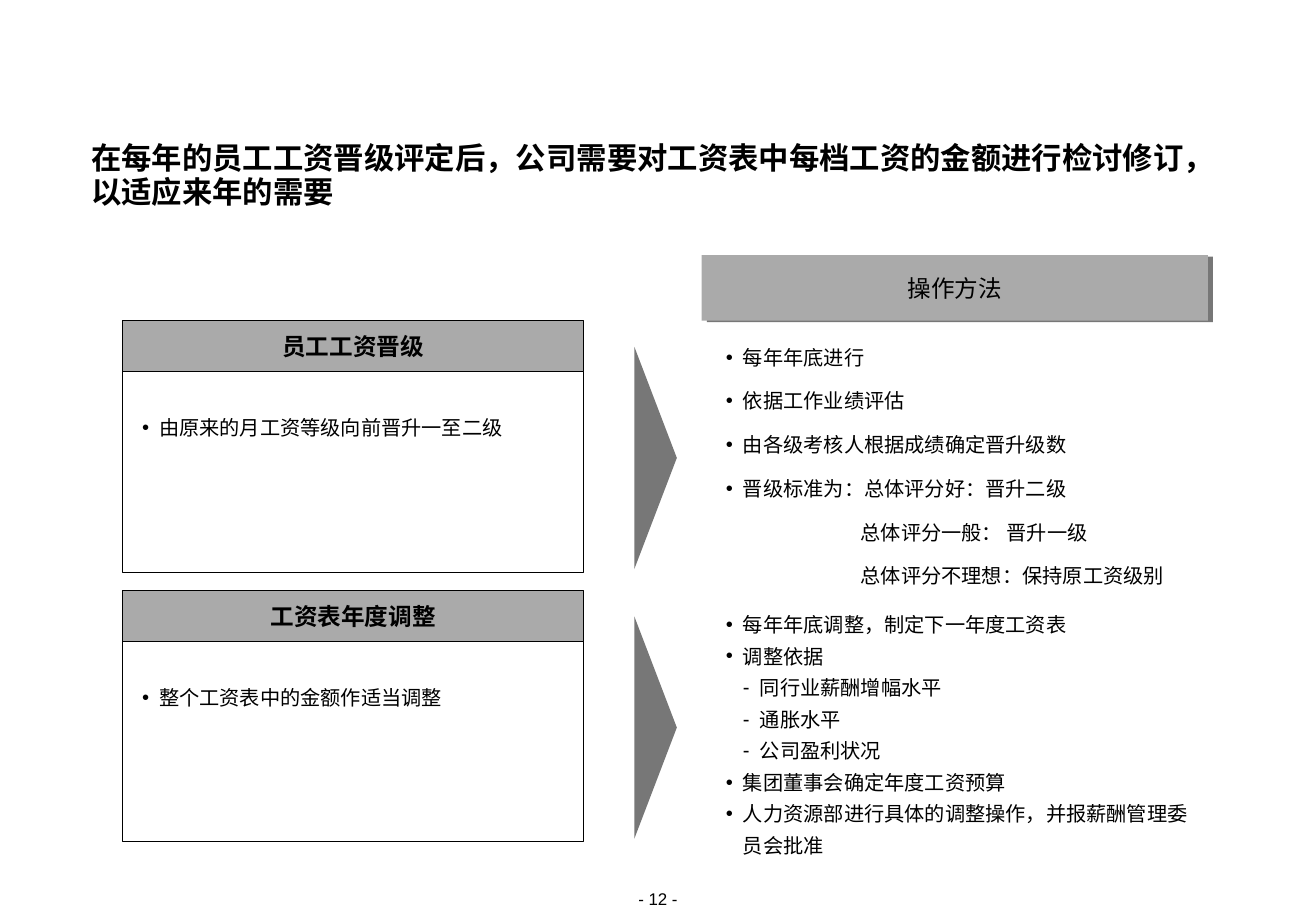
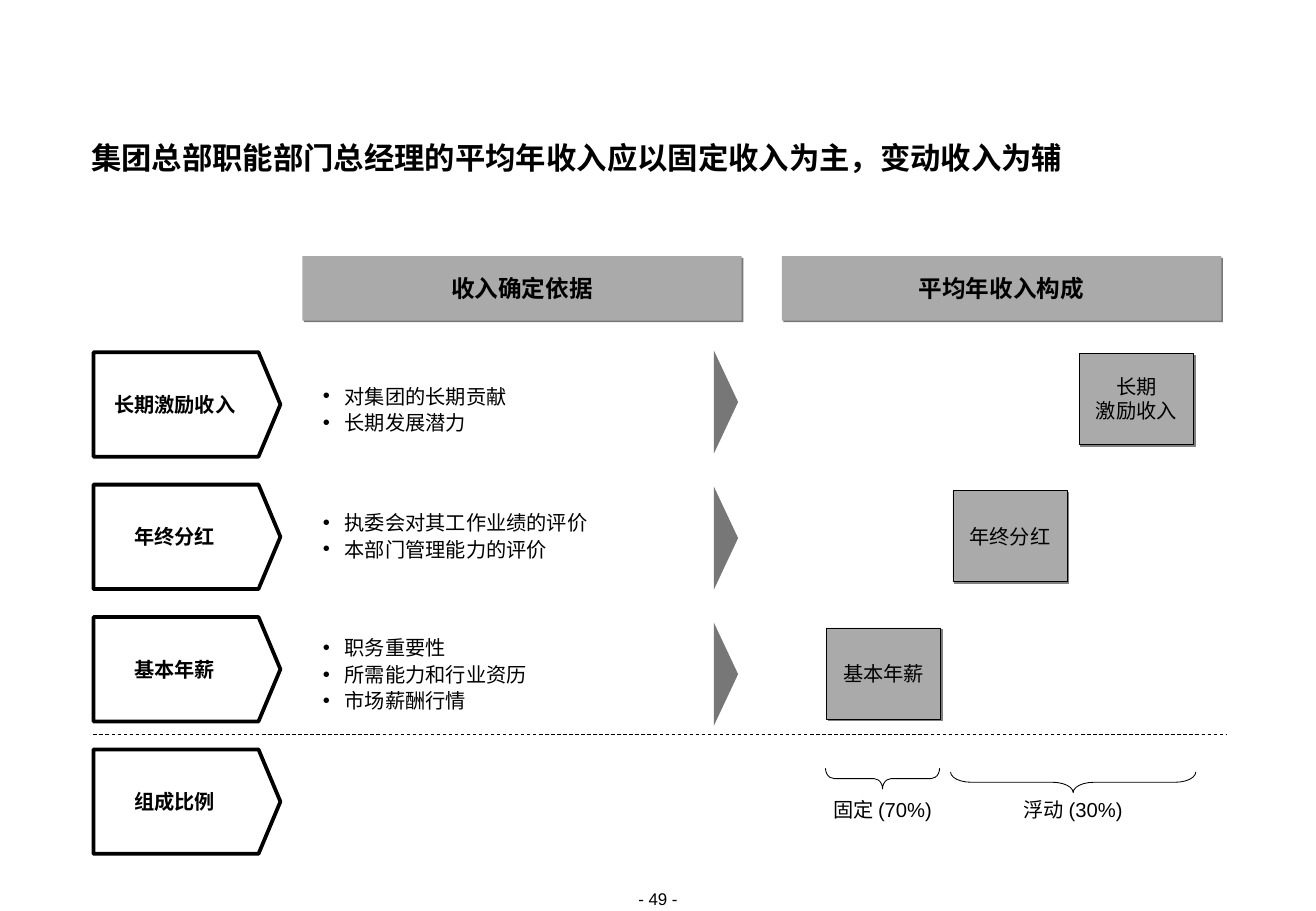
from lxml import etree
from pptx import Presentation
from pptx.dml.color import RGBColor
from pptx.enum.dml import MSO_LINE
from pptx.enum.shapes import MSO_CONNECTOR, MSO_SHAPE
from pptx.enum.text import MSO_ANCHOR, MSO_AUTO_SIZE, PP_ALIGN
from pptx.oxml.ns import qn
from pptx.util import Inches, Pt

FONT = "Arial"
BLACK, GREY, DARK, SHADE = "000000", "AAAAAA", "777777", "808080"
LEFT, CENTER = PP_ALIGN.LEFT, PP_ALIGN.CENTER
TOP, MIDDLE = MSO_ANCHOR.TOP, MSO_ANCHOR.MIDDLE
RECTANGLE, PENTAGON = MSO_SHAPE.RECTANGLE, MSO_SHAPE.PENTAGON
TRIANGLE, BRACE = MSO_SHAPE.ISOSCELES_TRIANGLE, MSO_SHAPE.LEFT_BRACE
STRAIGHT, DASH, FIXED = MSO_CONNECTOR.STRAIGHT, MSO_LINE.DASH, MSO_AUTO_SIZE.NONE
COMPARISON_LAYOUT = 4
BULLET, SUB_BULLET = (0.14, 0.14, "•"), (0.28, 0.14, "-")
CONTINUED, WIDE_BULLET = (1.11, 0, None), (0.19, 0.18, "•")


def color(value):
    """Turn a hex string into a colour."""
    return RGBColor.from_string(value)


def place(item, left, top, width, height):
    """Move and size a shape, in inches."""
    item.left, item.top = Inches(left), Inches(top)
    item.width, item.height = Inches(width), Inches(height)


def prepare(frame, anchor, wrap=True):
    """Clear the margins of a text frame and fix its size."""
    frame.word_wrap, frame.auto_size, frame.vertical_anchor = wrap, FIXED, anchor
    frame.margin_left = frame.margin_right = 0
    frame.margin_top = frame.margin_bottom = 0


def style(para, size, bold=False, align=CENTER, spacing=1.0):
    """Format one paragraph."""
    para.alignment, para.line_spacing = align, spacing
    para.space_before = para.space_after = Pt(0)
    font = para.font
    font.name, font.size, font.bold = FONT, Pt(size), bold
    font.color.rgb = color(BLACK)


def write(item, text, size, bold=False, anchor=MIDDLE, wrap=True, **options):
    """Put one formatted paragraph into a shape."""
    frame = item.text_frame
    prepare(frame, anchor, wrap)
    frame.text = text
    style(frame.paragraphs[0], size, bold, **options)


def add_label(page, text, left, top, width, height, size, **options):
    """Add a text box."""
    box = page.shapes.add_textbox(
        Inches(left), Inches(top), Inches(width), Inches(height))
    write(box, text, size, **options)


def set_bullet(para, left, hang, char):
    """Give a paragraph its indent and bullet sign."""
    props = para._p.get_or_add_pPr()
    props.set("marL", str(Inches(left)))
    props.set("indent", str(-Inches(hang)))
    if char:
        etree.SubElement(props, qn("a:buFont")).set("typeface", FONT)
        etree.SubElement(props, qn("a:buChar")).set("char", char)
    else:
        etree.SubElement(props, qn("a:buNone"))


def fill_list(item, position, entries, spacing):
    """Fill a body placeholder with (text, bullet) entries."""
    place(item, *position)
    frame = item.text_frame
    prepare(frame, MIDDLE)
    for index, (text, bullet) in enumerate(entries):
        para = frame.paragraphs[0] if index == 0 else frame.add_paragraph()
        para.text = text
        set_bullet(para, *bullet)
        style(para, 12, align=LEFT, spacing=spacing)


def add_block(page, kind, left, top, width, height, fill=None, line=None):
    """Add a preset shape without shadow; line is a width in points."""
    block = page.shapes.add_shape(
        kind, Inches(left), Inches(top), Inches(width), Inches(height))
    block.shadow.inherit = False
    if fill:
        block.fill.solid()
        block.fill.fore_color.rgb = color(fill)
    else:
        block.fill.background()
    if line:
        block.line.color.rgb = color(BLACK)
        block.line.width = Pt(line)
    else:
        block.line.fill.background()
    return block


def add_shadow(block, shade, distance, angle):
    """Give a shape a hard offset shadow."""
    effects = block._element.spPr.find(qn("a:effectLst"))
    shadow = etree.SubElement(effects, qn("a:outerShdw"))
    shadow.set("blurRad", "0")
    shadow.set("dist", str(Pt(distance)))
    shadow.set("dir", str(angle * 60000))
    shadow.set("algn", "tl")
    shadow.set("rotWithShape", "0")
    etree.SubElement(shadow, qn("a:srgbClr")).set("val", shade)


def add_heading(page, text, left, top, width, height, bold, distance, angle):
    """Add a grey column heading with a shadow."""
    bar = add_block(page, RECTANGLE, left, top, width, height, GREY)
    add_shadow(bar, DARK, distance, angle)
    write(bar, text, 14, bold)


def add_turned(page, kind, center_x, center_y, length, depth, angle, **options):
    """Add a shape turned by a quarter around its centre."""
    block = add_block(page, kind, center_x - length / 2, center_y - depth / 2,
                      length, depth, **options)
    block.rotation = angle
    return block


def add_card(page, body, top, title, text):
    """Add a titled frame with one bullet."""
    add_block(page, RECTANGLE, 1.01, top + 0.4, 3.8, 1.67, line=0.5)
    header = add_block(page, RECTANGLE, 1.01, top, 3.8, 0.42, GREY, 0.5)
    write(header, title, 14, True)
    fill_list(body, (1.17, top + 0.78, 3.51, 0.2), [(text, BULLET)], 1.0)


def add_ratio(page, text, center, middle, length, corner):
    """Add a downward brace and the share below it."""
    brace = add_turned(page, BRACE, center, middle, 0.17, length, 270, line=0.5)
    brace.adjustments[0] = corner
    add_label(page, text, center - 0.43, 6.57, 0.86, 0.19, 12,
              wrap=False, spacing=Pt(14))


def add_page(deck, title, number):
    """Add a slide with its title and page number, and return its bodies too."""
    page = deck.slides.add_slide(deck.slide_layouts[COMPARISON_LAYOUT])
    heading = page.shapes.title
    place(heading, 0.75, 1.17, 9.33, 0.56)
    write(heading, title, 18, True, TOP, align=LEFT, spacing=Pt(20))
    add_label(page, f"- {number} -", 4.85, 7.32, 1.14, 0.17, 10, anchor=TOP)
    return page, [item for item in page.placeholders if item != heading]


def build_adjustment(deck):
    """Build the slide on yearly promotion and pay table revision."""
    page, bodies = add_page(
        deck, "在每年的员工工资晋级评定后，公司需要对工资表中每档工资的金额进行检讨修订，"
        "以适应来年的需要", 12)
    add_heading(page, "操作方法", 5.78, 2.1, 4.17, 0.54, False, 3.2, 18)
    cards = [("员工工资晋级", "由原来的月工资等级向前晋升一至二级"),
             ("工资表年度调整", "整个工资表中的金额作适当调整")]
    for index, (title, text) in enumerate(cards):
        top = 2.64 + 2.22 * index
        add_card(page, bodies[index], top, title, text)
        add_turned(page, TRIANGLE, 5.4, top + 1.13, 1.83, 0.35, 90, fill=DARK)
    fill_list(bodies[2], (5.98, 2.68, 3.87, 2.16), [
        ("每年年底进行", BULLET),
        ("依据工作业绩评估", BULLET),
        ("由各级考核人根据成绩确定晋升级数", BULLET),
        ("晋级标准为：总体评分好：晋升二级", BULLET),
        ("总体评分一般： 晋升一级", CONTINUED),
        ("总体评分不理想：保持原工资级别", CONTINUED)], 1.8)
    fill_list(bodies[3], (5.98, 4.98, 3.87, 2.08), [
        ("每年年底调整，制定下一年度工资表", BULLET),
        ("调整依据", BULLET),
        ("同行业薪酬增幅水平", SUB_BULLET),
        ("通胀水平", SUB_BULLET),
        ("公司盈利状况", SUB_BULLET),
        ("集团董事会确定年度工资预算", BULLET),
        ("人力资源部进行具体的调整操作，并报薪酬管理委员会批准", BULLET)], 1.3)


def build_income(deck):
    """Build the slide on the make-up of average yearly income."""
    page, bodies = add_page(
        deck, "集团总部职能部门总经理的平均年收入应以固定收入为主，变动收入为辅", 49)
    for text, left in [("收入确定依据", 2.49), ("平均年收入构成", 6.44)]:
        add_heading(page, text, left, 2.11, 3.62, 0.53, True, 1.4, 45)

    for index, text in enumerate(["长期激励收入", "年终分红", "基本年薪", "组成比例"]):
        tag = add_block(page, PENTAGON, 0.77, 2.9 + 1.09 * index, 1.54, 0.86, line=2.25)
        tag.adjustments[0] = 0.21
        write(tag, text, 12, True)
        tag.text_frame.margin_right = Inches(0.11)

    rows = [("长期\v激励收入", 3.36, ["对集团的长期贡献", "长期发展潜力"]),
            ("年终分红", 4.4, ["执委会对其工作业绩的评价", "本部门管理能力的评价"]),
            ("基本年薪", 5.54, ["职务重要性", "所需能力和行业资历", "市场薪酬行情"])]
    for index, (part, middle, reasons) in enumerate(rows):
        height = 0.22 * len(reasons)
        fill_list(bodies[index], (2.65, middle - height / 2, 2.38, height),
                  [(reason, WIDE_BULLET) for reason in reasons], 1.1)
        add_turned(page, TRIANGLE, 5.98, 3.31 + 1.12 * index, 0.85, 0.2, 90, fill=DARK)
        square = add_block(page, RECTANGLE, 8.89 - 1.04 * index, 2.91 + 1.13 * index,
                           0.94, 0.75, GREY, 0.5)
        add_shadow(square, SHADE, 1.4, 45)
        write(square, part, 12, spacing=Pt(14))
    spare = bodies[3].element
    spare.getparent().remove(spare)

    divider = page.shapes.add_connector(
        STRAIGHT, Inches(0.77), Inches(6.05), Inches(10.1), Inches(6.05))
    divider.line.color.rgb = color(BLACK)
    divider.line.width = Pt(0.5)
    divider.line.dash_style = DASH
    etree.SubElement(divider._element.spPr, qn("a:effectLst"))
    add_ratio(page, "固定 (70%)", 7.27, 6.41, 0.94, 0.41)
    add_ratio(page, "浮动 (30%)", 8.84, 6.44, 2.02, 1.0)


def main():
    """Build and save the deck."""
    deck = Presentation()
    deck.slide_width, deck.slide_height = Inches(10.84), Inches(7.5)
    build_adjustment(deck)
    build_income(deck)
    deck.save("out.pptx")


if __name__ == "__main__":
    main()
